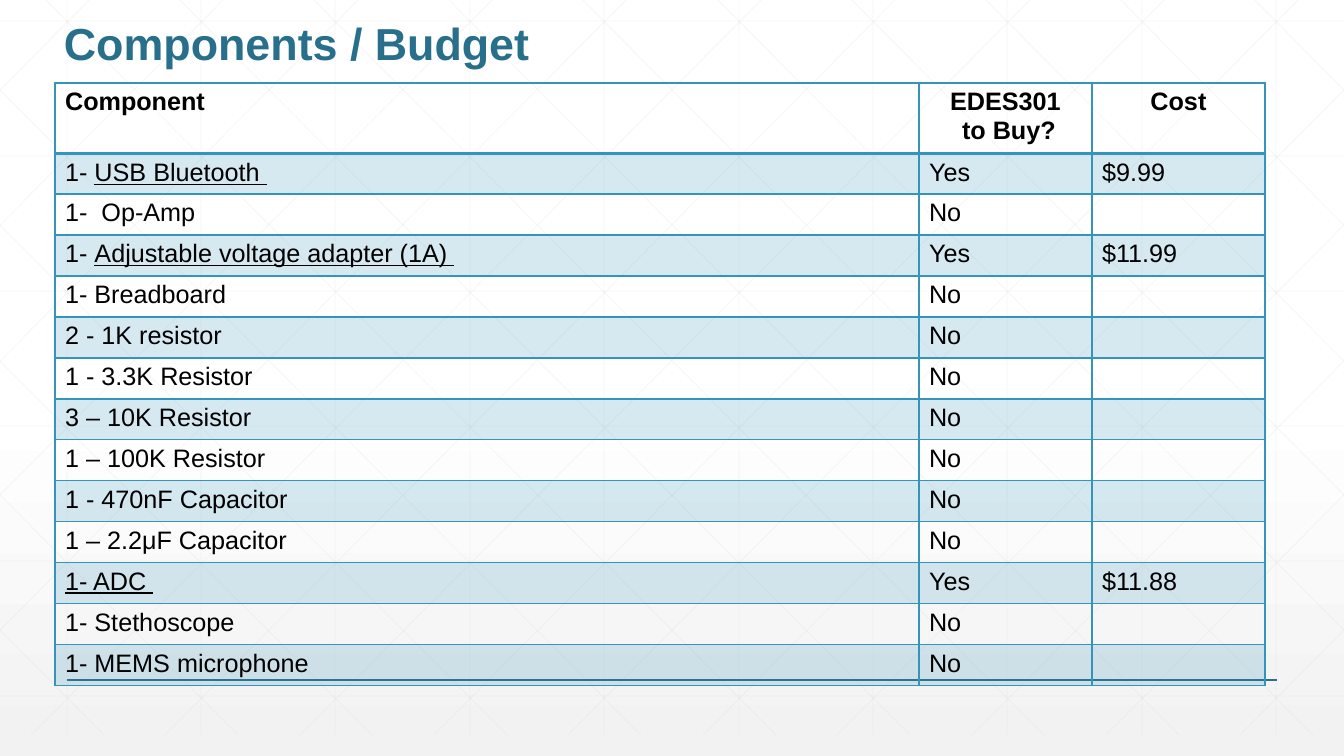
import dataclasses
import typing

import lxml.etree
import pptx
import pptx.dml.color
import pptx.enum.shapes
import pptx.enum.text
import pptx.oxml
import pptx.oxml.ns
import pptx.util

EMU_PER_PX = 914400 / 100.8
PAGE_WIDTH, PAGE_HEIGHT = 1344, 756
GRID_TOP, GRID_BOTTOM = -21, 735
DIAGONAL_RUN = 751
TABLE_LEFT, TABLE_TOP = 55, 83
COLUMN_WIDTHS = (864, 173, 173)
HEADER_HEIGHT, BODY_HEIGHT = 66, 531
CENTER = pptx.enum.text.PP_ALIGN.CENTER
LEFT = pptx.enum.text.PP_ALIGN.LEFT


@dataclasses.dataclass(frozen=True)
class Theme:
    font: str = "Arial"
    title: str = "276F8B"
    accent: str = "3494BA"
    text: str = "000000"
    grid: str = "D9D9D9"
    page_top: str = "FFFFFF"
    page_bottom: str = "F2F2F2"
    title_size: int = 32
    body_size: int = 18
    band_alpha: int = 20
    grid_alpha: int = 25


@dataclasses.dataclass(frozen=True)
class Line:
    left: int
    top: int
    right: int
    bottom: int


@dataclasses.dataclass(frozen=True)
class Component:
    label: str
    linked: str = ""
    cost: str = ""


class Span(typing.NamedTuple):
    text: str
    underline: bool = False


THEME = Theme()
HEADERS = (("Component",), ("EDES301", " to Buy?"), ("Cost",))
COMPONENTS = (
    Component("1- ", "USB Bluetooth ", "$9.99"),
    Component("1-  Op-Amp"),
    Component("1- ", "Adjustable voltage adapter (1A) ", "$11.99"),
    Component("1- Breadboard"),
    Component("2 - 1K resistor"),
    Component("1 - 3.3K Resistor"),
    Component("3 – 10K Resistor"),
    Component("1 – 100K Resistor"),
    Component("1 - 470nF Capacitor"),
    Component("1 – 2.2μF Capacitor"),
    Component("", "1- ADC ", "$11.88"),
    Component("1- Stethoscope"),
    Component("1- MEMS microphone"),
)


def px(length: float) -> pptx.util.Emu:
    return pptx.util.Emu(round(length * EMU_PER_PX))


def color(value: str) -> pptx.dml.color.RGBColor:
    return pptx.dml.color.RGBColor.from_string(value)


def apply(target: typing.Any, values: dict[str, typing.Any]) -> None:
    for name, value in values.items():
        setattr(target, name, value)


def set_alpha(properties: typing.Any, percent: int) -> None:
    for node in properties.iter(pptx.oxml.ns.qn("a:srgbClr")):
        alpha = lxml.etree.SubElement(node, pptx.oxml.ns.qn("a:alpha"))
        alpha.set("val", str(percent * 1000))


def write(para: typing.Any, spans: typing.Iterable[Span], size: int, ink: str, bold: bool) -> None:
    for part in spans:
        span = para.add_run()
        span.text = part.text
        apply(span.font, {
            "name": THEME.font,
            "size": pptx.util.Pt(size),
            "bold": bold,
            "underline": part.underline,
        })
        span.font.color.rgb = color(ink)


def paint_background(page: typing.Any) -> None:
    fill = page.background.fill
    fill.gradient()
    fill.gradient_angle = 270
    stops = ((0.53, THEME.page_top), (1.0, THEME.page_bottom))
    for stop, (position, value) in zip(fill.gradient_stops, stops):
        stop.position = position
        stop.color.rgb = color(value)


def draw_line(page: typing.Any, line: Line, ink: str, width: float, alpha: int = 100) -> None:
    connector = page.shapes.add_connector(
        pptx.enum.shapes.MSO_CONNECTOR.STRAIGHT,
        px(line.left), px(line.top), px(line.right), px(line.bottom),
    )
    connector.line.color.rgb = color(ink)
    connector.line.width = pptx.util.Pt(width)
    properties = connector.element.spPr
    if alpha < 100:
        set_alpha(properties, alpha)
    lxml.etree.SubElement(properties, pptx.oxml.ns.qn("a:effectLst"))


def diagonal(start: int) -> Line:
    slope = (GRID_BOTTOM - GRID_TOP) / DIAGONAL_RUN
    left, right = max(start, 0), min(start + DIAGONAL_RUN, PAGE_WIDTH)
    top, bottom = (round(GRID_TOP + (x - start) * slope) for x in (left, right))
    return Line(left, top, right, bottom)


def grid_lines() -> typing.Iterator[Line]:
    for index in range(10):
        x = 67 + index * PAGE_WIDTH // 10
        yield Line(x, GRID_TOP, x, GRID_BOTTOM)
    for index in range(6):
        y = 21 + index * 135
        yield Line(0, y, PAGE_WIDTH, y)
    for index in range(-5, 10):
        line = diagonal(25 + index * PAGE_WIDTH // 10)
        yield line
        yield Line(PAGE_WIDTH - line.left, line.top, PAGE_WIDTH - line.right, line.bottom)


def draw_title(page: typing.Any) -> None:
    box = page.shapes.add_textbox(px(54), px(17), px(1210), px(58))
    apply(box.text_frame, {
        "word_wrap": True,
        "vertical_anchor": pptx.enum.text.MSO_ANCHOR.BOTTOM,
    })
    para = box.text_frame.paragraphs[0]
    para.line_spacing = 0.9
    write(para, [Span("Components / Budget")], THEME.title_size, THEME.title, True)


def style_cell(cell: typing.Any, row: int) -> None:
    properties = cell._tc.get_or_add_tcPr()
    widths = {"L": 1, "R": 1, "T": 2 if row == 1 else 1, "B": 2 if row == 0 else 1}
    for side, width in widths.items():
        properties.append(pptx.oxml.parse_xml(
            f'<a:ln{side} {pptx.oxml.ns.nsdecls("a")} w="{pptx.util.Pt(width)}">'
            f'<a:solidFill><a:srgbClr val="{THEME.accent}"/></a:solidFill></a:ln{side}>'
        ))
    if row % 2:
        cell.fill.solid()
        cell.fill.fore_color.rgb = color(THEME.accent)
        set_alpha(properties.find(pptx.oxml.ns.qn("a:solidFill")), THEME.band_alpha)
    else:
        cell.fill.background()


def table_rows() -> typing.Iterator[list[list[list[Span]]]]:
    yield [[[Span(text)] for text in header] for header in HEADERS]
    for item in COMPONENTS:
        name = [span for span in (Span(item.label), Span(item.linked, True)) if span.text]
        cost = [Span(item.cost)] if item.cost else []
        yield [[name], [[Span("Yes" if item.cost else "No")]], [cost]]


def draw_table(page: typing.Any) -> None:
    count = len(COMPONENTS)
    table = page.shapes.add_table(
        count + 1, len(COLUMN_WIDTHS), px(TABLE_LEFT), px(TABLE_TOP),
        px(sum(COLUMN_WIDTHS)), px(HEADER_HEIGHT + BODY_HEIGHT),
    ).table
    apply(table, {"first_row": False, "horz_banding": False})
    for column, width in zip(table.columns, COLUMN_WIDTHS):
        column.width = px(width)
    edges = [BODY_HEIGHT * index // count for index in range(count + 1)]
    heights = [HEADER_HEIGHT] + [end - start for start, end in zip(edges, edges[1:])]
    for row, (height, contents) in enumerate(zip(heights, table_rows())):
        table.rows[row].height = px(height)
        for column, paragraphs in enumerate(contents):
            cell = table.cell(row, column)
            style_cell(cell, row)
            for index, spans in enumerate(paragraphs):
                frame = cell.text_frame
                para = frame.add_paragraph() if index else frame.paragraphs[0]
                para.alignment = CENTER if row == 0 and column else LEFT
                write(para, spans, THEME.body_size, THEME.text, row == 0)


def main() -> None:
    deck = pptx.Presentation()
    apply(deck, {"slide_width": px(PAGE_WIDTH), "slide_height": px(PAGE_HEIGHT)})
    page = deck.slides.add_slide(deck.slide_layouts[6])
    paint_background(page)
    for line in grid_lines():
        draw_line(page, line, THEME.grid, 0.5, THEME.grid_alpha)
    draw_line(page, Line(67, 680, 1277, 680), THEME.title, 1)
    draw_title(page)
    draw_table(page)
    deck.save("out.pptx")


if __name__ == "__main__":
    main()
